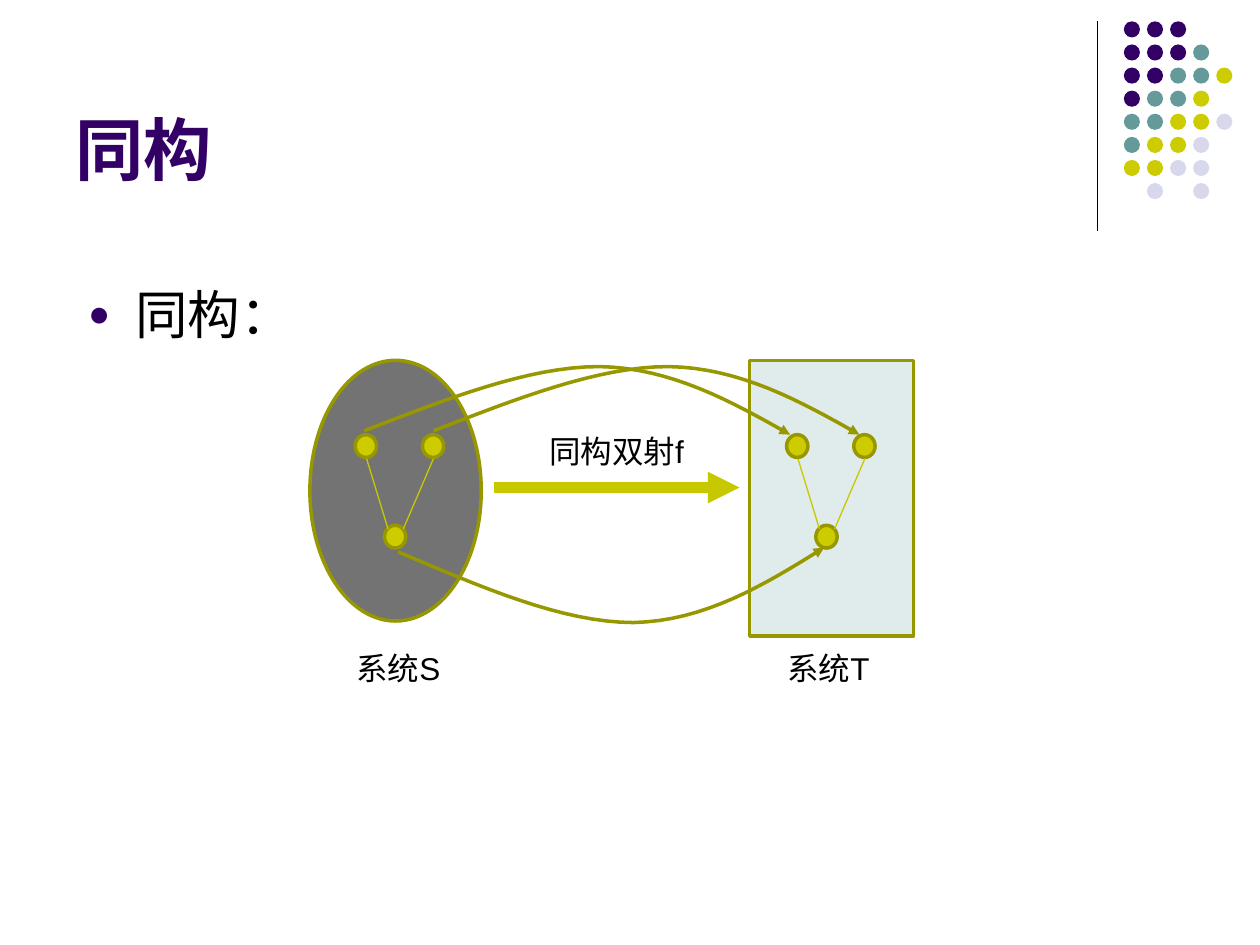
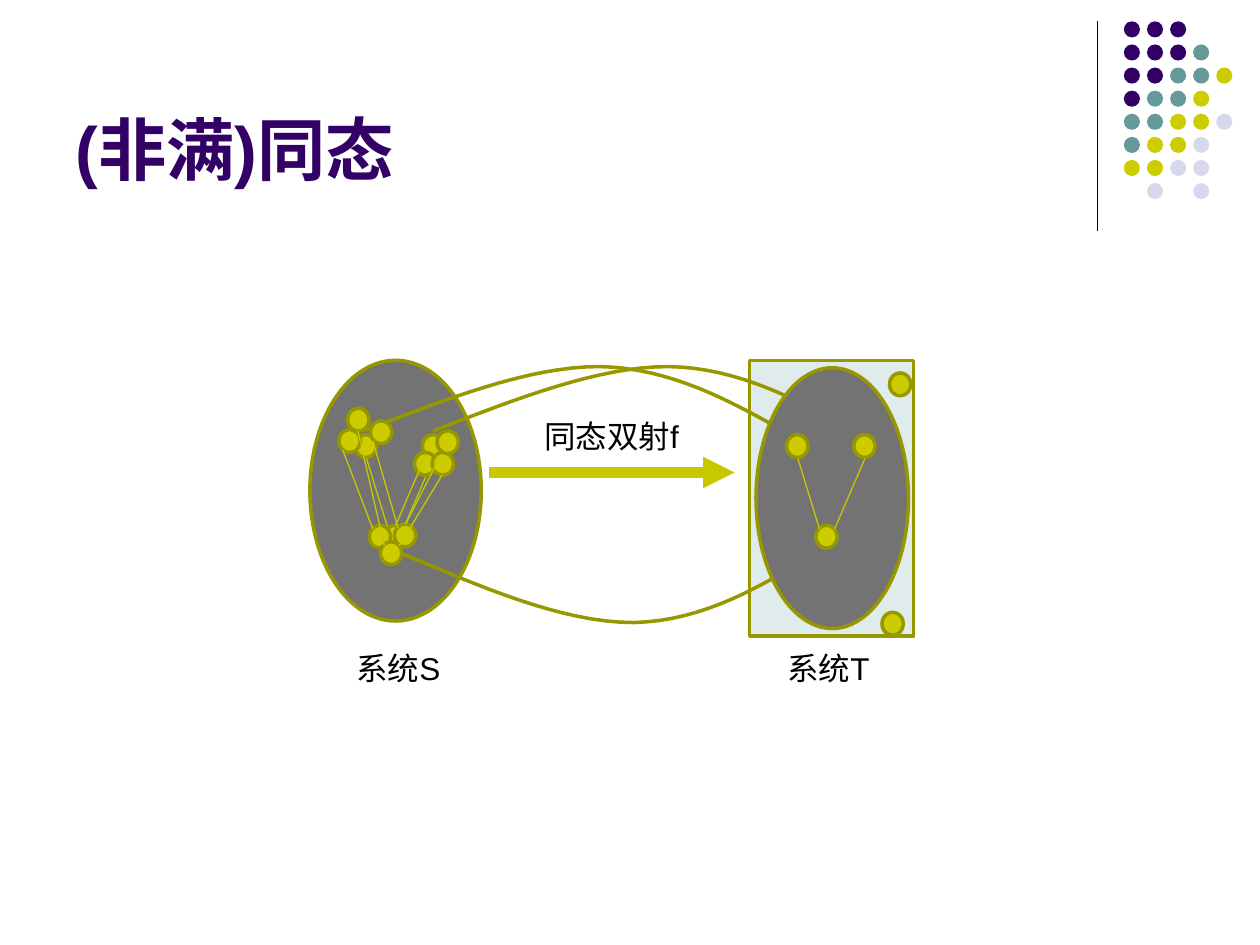
from dataclasses import dataclass

from lxml.etree import SubElement
from pptx import Presentation
from pptx.dml.color import RGBColor
from pptx.enum.shapes import MSO_CONNECTOR as Link, MSO_SHAPE as Preset
from pptx.enum.text import MSO_ANCHOR as Anchor, MSO_AUTO_SIZE as AutoSize, PP_ALIGN as Align
from pptx.oxml.ns import qn
from pptx.util import Pt


@dataclass(frozen=True)
class Theme:
    font: str = "Arial"
    purple: str = "330066"
    teal: str = "669999"
    lime: str = "CCCC00"
    lavender: str = "D8D8EC"
    black: str = "000000"
    gray: str = "737373"
    pale: str = "E0EBEB"
    olive: str = "979700"
    link: str = "C8C800"
    title_size: int = 39
    body_size: int = 30
    label_size: int = 18
    thin: float = 0.75
    outline: float = 2
    thick: float = 6


THEME = Theme()

# Content: wording and places, in points
ISOMORPHISM = {"title": "同构", "body": "同构：", "map": "同构双射f", "arrow": (282.2, 278.6)}
HOMOMORPHISM = {"title": "(非满)同态", "map": "同态双射f", "arrow": (279.4, 270)}
SYSTEM_LABELS = [("系统S", 196.6, 63.4), ("系统T", 442.8, 61.9)]
LABEL_TOP = 367.2

SYSTEM_S = (177.1, 205.9, 97.9, 149)
SYSTEM_T = (428.4, 205.9, 93.6, 157.7)
IMAGE_IN_T = (432, 210.2, 87.1, 149)

# A triple is two upper nodes, each linked to a lower one
NODE_SIZE = (12.2, 13)
TRIPLE_NODES = [(0, 0), (38.4, 0), (16.7, 51.8)]
TRIPLE_EDGES = [((6.5, 13.7), (18.8, 54)), ((44.7, 13.7), (27.4, 54))]
TRIPLE_IN_S, TRIPLE_IN_T = (203, 248.4), (449.5, 248.4)

CLUSTER_NODES = [
    (193.7, 245.5), (198.7, 233.3), (211.7, 240.5),
    (236.9, 258.5), (247, 258.5), (249.8, 246.2),
    (211, 300.2), (225.4, 299.5), (217.4, 309.6),
]
CLUSTER_EDGES = [
    ((195.8, 257), (213.1, 302.4)), ((213.1, 252), (227.5, 301.7)),
    ((204.5, 246.2), (219.6, 311.8)), ((252, 259.9), (231.8, 299.5)),
    ((252.7, 271.4), (228.2, 311.8)), ((243.4, 259.9), (226.1, 300.2)),
]
NODES_OUTSIDE_IMAGE = [(504, 349.9), (508.3, 213.1)]

# Mapping curves: one arch of two Bezier pieces, given by start and vertical stretch
ARCH = [
    [(0, 0), (46.8, -18), (93.6, -36.7), (134.3, -36.7)],
    [(134.3, -36.7), (175, -36), (209.2, -17.2), (243.4, 2.2)],
]
MAPPINGS = [((208.1, 246.2), 1), ((247.7, 246.2), 1), ((227.5, 315.4), -1.1)]
CURVE_STEPS = 16

# Corner ornament: one letter per dot
DOT_ROWS = ["PPP", "PPPT", "PPTTY", "PTTY", "TTYYL", "TYYL", "YYLL", " L L"]
DOT_COLORS = {"P": THEME.purple, "T": THEME.teal, "Y": THEME.lime, "L": THEME.lavender}
DOT_ORIGIN, DOT_STEP, DOT_SIZE = (642.2, 12.2), 13.2, 9.2


# Drawing helpers
def rgb(code):
    return RGBColor.from_string(code)


def place(shape, left, top, width, height):
    shape.left, shape.top, shape.width, shape.height = map(Pt, (left, top, width, height))


def style_line(shape, color, width, arrow=False):
    shape.line.color.rgb = rgb(color)
    shape.line.width = Pt(width)
    if arrow:
        SubElement(shape.element.spPr.get_or_add_ln(), qn("a:tailEnd"), type="triangle")


def add_preset(page, preset, frame, fill, outline=None):
    shape = page.shapes.add_shape(preset, *map(Pt, frame))
    shape.shadow.inherit = False
    shape.fill.solid()
    shape.fill.fore_color.rgb = rgb(fill)
    if outline:
        style_line(shape, outline, THEME.outline)
    else:
        shape.line.fill.background()


def add_line(page, start, end, color, width, arrow=False):
    line = page.shapes.add_connector(Link.STRAIGHT, *map(Pt, (*start, *end)))
    style_line(line, color, width, arrow)
    SubElement(line.element.spPr, qn("a:effectLst"))


def set_font(para, size, color, bold=False):
    para.font.name = THEME.font
    para.font.size = Pt(size)
    para.font.bold = bold
    para.font.color.rgb = rgb(color)


def add_label(page, text, left, top, width):
    box = page.shapes.add_textbox(Pt(left), Pt(top), Pt(width), Pt(28.8))
    box.text_frame.word_wrap = True
    para = box.text_frame.paragraphs[0]
    para.text = text
    set_font(para, THEME.label_size, THEME.black)


def fill_placeholder(holder, text, frame, anchor):
    place(holder, *frame)
    holder.text_frame.text = text
    holder.text_frame.auto_size = AutoSize.NONE
    holder.text_frame.vertical_anchor = anchor
    para = holder.text_frame.paragraphs[0]
    para.alignment = Align.LEFT
    para.space_before = Pt(0)
    return para


# Parts of the diagrams
def add_nodes(page, corners):
    for corner in corners:
        add_preset(page, Preset.OVAL, (*corner, *NODE_SIZE), THEME.lime, THEME.olive)


def add_edges(page, edges):
    for start, end in edges:
        add_line(page, start, end, THEME.link, THEME.thin)


def add_triple(page, origin):
    def shift(point):
        return origin[0] + point[0], origin[1] + point[1]

    add_nodes(page, map(shift, TRIPLE_NODES))
    add_edges(page, [(shift(start), shift(end)) for start, end in TRIPLE_EDGES])


def bezier_point(controls, t):
    weights = ((1 - t) ** 3, 3 * t * (1 - t) ** 2, 3 * t * t * (1 - t), t ** 3)
    return [sum(w * c for w, c in zip(weights, axis)) for axis in zip(*controls)]


def add_mappings(page):
    for (left, top), stretch in MAPPINGS:
        points = [
            bezier_point(piece, step / CURVE_STEPS)
            for piece in ARCH for step in range(1, CURVE_STEPS + 1)
        ]
        outline = page.shapes.build_freeform(Pt(left), Pt(top))
        outline.add_line_segments(
            [(Pt(left + x), Pt(top + stretch * y)) for x, y in points], close=False)
        curve = outline.convert_to_shape()
        curve.shadow.inherit = False
        curve.fill.background()
        style_line(curve, THEME.olive, THEME.outline, arrow=True)


def add_systems(page, content):
    add_preset(page, Preset.RECTANGLE, SYSTEM_T, THEME.pale, THEME.olive)
    add_preset(page, Preset.OVAL, SYSTEM_S, THEME.gray, THEME.olive)
    left, top = content["arrow"]
    add_line(page, (left, top), (left + 140.4, top), THEME.link, THEME.thick, arrow=True)
    add_label(page, content["map"], left + 24.5, top - 35, 92.2)
    for text, label_left, width in SYSTEM_LABELS:
        add_label(page, text, label_left, LABEL_TOP, width)


# Title and corner ornament shared by the slides
def add_page(deck, layout, title):
    page = deck.slides.add_slide(deck.slide_layouts[layout])
    para = fill_placeholder(page.shapes.title, title, (36, 9.4, 594, 102.2), Anchor.BOTTOM)
    set_font(para, THEME.title_size, THEME.purple, bold=True)
    add_line(page, (627.1, 12.2), (627.1, 131.8), THEME.black, THEME.thin)
    for row, letters in enumerate(DOT_ROWS):
        for column, letter in enumerate(letters):
            if letter in DOT_COLORS:
                left = DOT_ORIGIN[0] + column * DOT_STEP
                top = DOT_ORIGIN[1] + row * DOT_STEP
                frame = (left, top, DOT_SIZE, DOT_SIZE)
                add_preset(page, Preset.OVAL, frame, DOT_COLORS[letter])
    return page


def add_bullet(page, text):
    body = page.placeholders[1]
    para = fill_placeholder(body, text, (45.4, 155.5, 648, 47.5), Anchor.MIDDLE)
    frame = body.text_frame
    frame.margin_left = frame.margin_right = Pt(5)
    frame.margin_top = frame.margin_bottom = Pt(3)
    props = para._p.get_or_add_pPr()
    props.set("marL", str(Pt(27)))
    props.set("indent", str(-Pt(27)))
    SubElement(SubElement(props, qn("a:buClr")), qn("a:srgbClr"), val=THEME.purple)
    SubElement(props, qn("a:buSzPct"), val="70000")
    SubElement(props, qn("a:buFont"), typeface=THEME.font)
    SubElement(props, qn("a:buChar"), char="●")
    set_font(para, THEME.body_size, THEME.black)


def build_isomorphism(deck):
    page = add_page(deck, 1, ISOMORPHISM["title"])
    add_bullet(page, ISOMORPHISM["body"])
    add_systems(page, ISOMORPHISM)
    add_triple(page, TRIPLE_IN_S)
    add_triple(page, TRIPLE_IN_T)
    add_mappings(page)


def build_homomorphism(deck):
    page = add_page(deck, 5, HOMOMORPHISM["title"])
    add_systems(page, HOMOMORPHISM)
    add_mappings(page)
    add_triple(page, TRIPLE_IN_S)
    add_nodes(page, CLUSTER_NODES)
    add_edges(page, CLUSTER_EDGES)
    add_preset(page, Preset.OVAL, IMAGE_IN_T, THEME.gray, THEME.olive)
    add_nodes(page, NODES_OUTSIDE_IMAGE)
    add_triple(page, TRIPLE_IN_T)


def main():
    deck = Presentation()
    deck.slide_width, deck.slide_height = Pt(720), Pt(540)
    build_isomorphism(deck)
    build_homomorphism(deck)
    deck.save("out.pptx")


if __name__ == "__main__":
    main()
